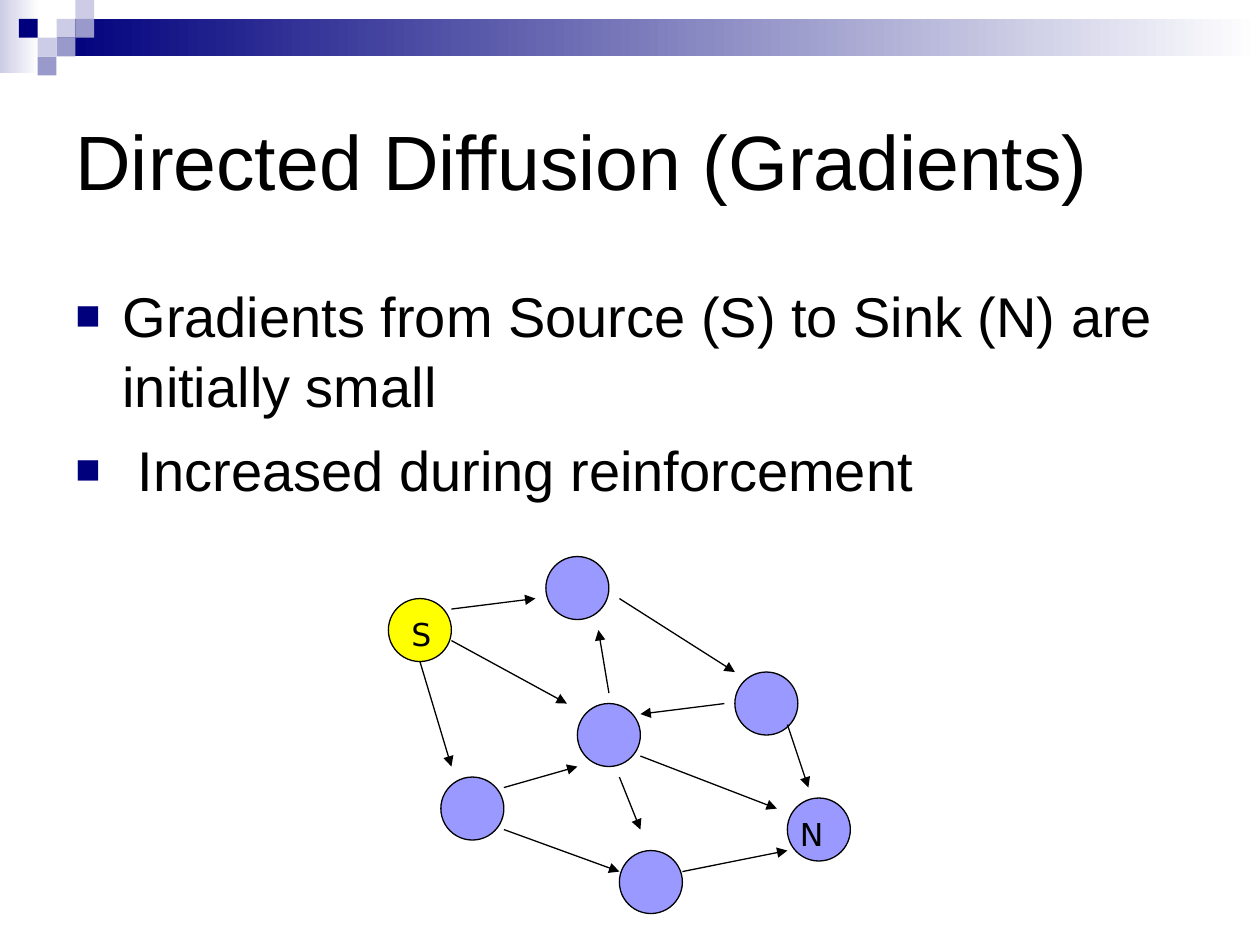
from dataclasses import dataclass

from lxml import etree
from pptx import Presentation
from pptx.dml.color import RGBColor
from pptx.enum.shapes import MSO_CONNECTOR, MSO_SHAPE
from pptx.enum.text import MSO_ANCHOR
from pptx.oxml.ns import qn
from pptx.util import Cm, Pt

RECTANGLE = MSO_SHAPE.RECTANGLE
OVAL = MSO_SHAPE.OVAL
STRAIGHT = MSO_CONNECTOR.STRAIGHT
MIDDLE = MSO_ANCHOR.MIDDLE


@dataclass(frozen=True)
class Theme:
    """Colours, fonts and type sizes of the slide."""
    white: str = "FFFFFF"
    black: str = "000000"
    navy: str = "00007D"
    mid: str = "9999CC"
    pale: str = "CCCCE6"
    node: str = "9999FF"
    source: str = "FFFF00"
    font: str = "Arial"
    label_font: str = "DejaVu Sans"
    title_size: int = 44
    body_size: int = 32
    label_size: int = 18
    line_width: float = 0.75


THEME = Theme()
SQUARE = 0.38
GRID = 2.54 / 12
NODE_SIZE = 6

SQUARES = [
    (3, 1, THEME.pale), (4, 0, THEME.pale), (4, 1, THEME.mid),
    (2, 2, THEME.pale), (1, 1, THEME.navy), (3, 2, THEME.mid),
    (2, 3, THEME.mid),
]
BULLETS = [
    "Gradients from Source (S) to Sink (N) are initially small",
    " Increased during reinforcement",
]
NODES = [
    (38, 23, THEME.node), (33, 11, THEME.node), (22, 28, THEME.node),
    (18, 14, THEME.node), (5, 21, THEME.node), (15, 0, THEME.node),
    (0, 4, THEME.source),
]
ARROWS = [
    (6, 5, 14, 4), (3, 10, 6, 20), (6, 8, 17, 14), (22, 4, 33, 11),
    (32, 14, 24, 15), (11, 22, 18, 20), (22, 21, 24, 26), (24, 19, 37, 24),
    (21, 13, 20, 7), (11, 26, 22, 30), (28, 30, 38, 28), (38, 16, 40, 22),
]
LABELS = [("S", 1, 5, 6), ("N", 38, 24, 8)]


def color(value):
    """Turn a hex string into a colour."""
    return RGBColor.from_string(value)


def add_block(slide, kind, left, top, width, height, fill=None):
    """Add a preset shape without shadow or outline."""
    shape = slide.shapes.add_shape(kind, Cm(left), Cm(top), Cm(width), Cm(height))
    shape.shadow.inherit = False
    shape.line.fill.background()
    if fill:
        shape.fill.solid()
        shape.fill.fore_color.rgb = color(fill)
    return shape


def add_fade(slide, left, top, width, height, start):
    """Add a rectangle that fades to white towards the right."""
    fill = add_block(slide, RECTANGLE, left, top, width, height).fill
    fill.gradient()
    fill.gradient_angle = 0
    for stop, position, value in zip(fill.gradient_stops, (0, 1), (start, THEME.white)):
        stop.position = position
        stop.color.rgb = color(value)


def add_text_box(slide, left, top, width, height):
    """Add an empty wrapping text box and return its frame."""
    frame = slide.shapes.add_textbox(Cm(left), Cm(top), Cm(width), Cm(height)).text_frame
    frame.word_wrap = True
    return frame


def style_paragraph(paragraph, text, size, name=THEME.font):
    """Fill a paragraph and set its font."""
    paragraph.text = text
    paragraph.font.size = Pt(size)
    paragraph.font.name = name
    paragraph.font.color.rgb = color(THEME.black)


def add_bullet(paragraph):
    """Give a paragraph a square bullet and a hanging indent."""
    properties = paragraph._p.get_or_add_pPr()
    properties.set("marL", str(Cm(0.95)))
    properties.set("indent", str(Cm(-0.95)))
    bullet_color = etree.SubElement(properties, qn("a:buClr"))
    etree.SubElement(bullet_color, qn("a:srgbClr"), val=THEME.navy)
    etree.SubElement(properties, qn("a:buSzPct"), val="75000")
    etree.SubElement(properties, qn("a:buFont"), typeface=THEME.font)
    etree.SubElement(properties, qn("a:buChar"), char="■")


def add_banner(slide, left, top, width):
    """Draw the fading bar and the stepped squares."""
    add_fade(slide, left, top, 0.79, 1.47, THEME.pale)
    bar_left = 3 * SQUARE
    add_fade(slide, left + bar_left, top + SQUARE, width - bar_left, 2 * SQUARE, THEME.navy)
    for column, row, fill in SQUARES:
        add_block(slide, RECTANGLE, left + column * SQUARE, top + row * SQUARE,
                  SQUARE, SQUARE, fill)


def add_title(slide, left, top, width, height):
    """Write the slide title."""
    frame = add_text_box(slide, left, top, width, height)
    frame.vertical_anchor = MIDDLE
    paragraph = frame.paragraphs[0]
    style_paragraph(paragraph, "Directed Diffusion (Gradients)", THEME.title_size)
    paragraph.line_spacing = 1.04


def add_body(slide, left, top, width, height):
    """Write the bulleted statements."""
    frame = add_text_box(slide, left, top, width, height)
    for index, text in enumerate(BULLETS):
        paragraph = frame.add_paragraph() if index else frame.paragraphs[0]
        add_bullet(paragraph)
        style_paragraph(paragraph, text, THEME.body_size)
        paragraph.line_spacing = 1.04
        paragraph.space_before = Pt(8 if index else 0)


def add_arrow(slide, start_x, start_y, end_x, end_y):
    """Draw a line with an arrowhead at its end."""
    arrow = slide.shapes.add_connector(STRAIGHT, Cm(start_x), Cm(start_y), Cm(end_x), Cm(end_y))
    arrow.line.color.rgb = color(THEME.black)
    arrow.line.width = Pt(THEME.line_width)
    etree.SubElement(arrow.line._get_or_add_ln(), qn("a:tailEnd"), type="triangle")
    etree.SubElement(arrow._element.spPr, qn("a:effectLst"))


def add_network(slide, left, top):
    """Draw the nodes, gradients and node labels on a grid."""
    def across(column):
        return left + column * GRID

    def down(row):
        return top + row * GRID

    diameter = NODE_SIZE * GRID
    for column, row, fill in NODES:
        node = add_block(slide, OVAL, across(column), down(row), diameter, diameter, fill)
        node.line.color.rgb = color(THEME.black)
        node.line.width = Pt(THEME.line_width)
    for start_column, start_row, end_column, end_row in ARROWS:
        add_arrow(slide, across(start_column), down(start_row),
                  across(end_column), down(end_row))
    for text, column, row, columns in LABELS:
        frame = add_text_box(slide, across(column), down(row), columns * GRID, 1.02)
        style_paragraph(frame.paragraphs[0], text, THEME.label_size, THEME.label_font)


def main():
    """Build and save the slide."""
    presentation = Presentation()
    presentation.slide_width = Cm(25.4)
    presentation.slide_height = Cm(19.05)
    slide = presentation.slides.add_slide(presentation.slide_layouts[6])
    add_banner(slide, 0, 0, 25.4)
    add_title(slide, 1.27, 1.27, 22.86, 3.81)
    add_body(slide, 1.27, 5.5, 22.86, 10.8)
    add_network(slide, 7.83, 11.22)
    presentation.save("out.pptx")


if __name__ == "__main__":
    main()
